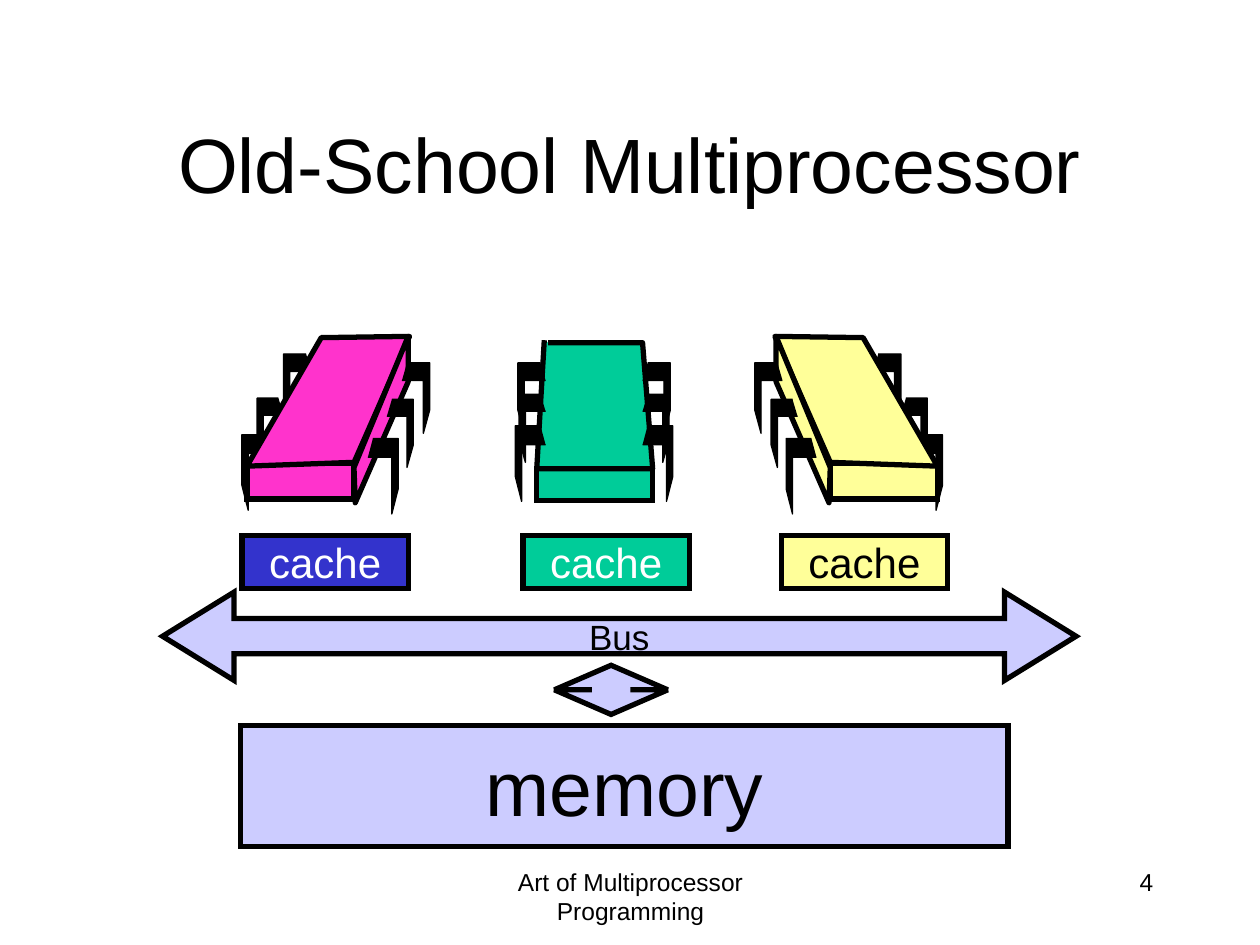
from lxml.etree import SubElement
from pptx import Presentation
from pptx.dml.color import RGBColor
from pptx.enum.shapes import MSO_SHAPE
from pptx.enum.text import MSO_ANCHOR, PP_ALIGN
from pptx.oxml.ns import qn
from pptx.util import Inches, Pt

BLACK, WHITE = "000000", "FFFFFF"
LILAC, BLUE, GREEN, PINK, YELLOW = "CCCCFF", "3333CC", "00CC99", "FF33CC", "FFFF99"
BIG, MEDIUM, SMALL = (0.24, 0.6), (0.22, 0.56), (0.21, 0.54)


def rgb(value):
    """Return the colour of a hex string."""
    return RGBColor.from_string(value)


def paint(sp, fill, width=3):
    """Give a shape a flat fill and a black outline."""
    sp.shadow.inherit = False
    sp.fill.solid()
    sp.fill.fore_color.rgb = rgb(fill)
    sp.line.color.rgb = rgb(BLACK)
    sp.line.width = Pt(width)


def write(tf, text, size, color=BLACK, align=PP_ALIGN.CENTER):
    """Put one formatted paragraph into a text frame."""
    tf.text = text
    p = tf.paragraphs[0]
    p.alignment = align
    p.font.name = "Arial"
    p.font.size = Pt(size)
    p.font.color.rgb = rgb(color)


def add_preset(shapes, kind, box, fill, adjustments=()):
    """Add a preset shape with sharp corners."""
    sp = shapes.add_shape(kind, *map(Inches, box))
    for i, value in enumerate(adjustments):
        sp.adjustments[i] = value
    paint(sp, fill)
    SubElement(sp._element.spPr.find(qn("a:ln")), qn("a:miter"), lim="800000")
    return sp


def add_label(sp, text, size, color=BLACK):
    """Write a centred label on a shape."""
    tf = sp.text_frame
    tf.word_wrap = False
    tf.vertical_anchor = MSO_ANCHOR.MIDDLE
    write(tf, text, size, color)


def add_text(s, box, text, align):
    """Add a small text box for the foot of the slide."""
    tf = s.shapes.add_textbox(*map(Inches, box)).text_frame
    tf.word_wrap = True
    write(tf, text, 14, align=align)


def add_outline(shapes, points, fill, width=3, close=True):
    """Add a freeform through points given in inches."""
    start, *rest = [(Inches(x), Inches(y)) for x, y in points]
    builder = shapes.build_freeform(*start, scale=1.0)
    builder.add_line_segments(rest, close=close)
    paint(builder.convert_to_shape(), fill, width)


def add_pin(shapes, x, y, size, side):
    """Add a bent pin growing from x to the right (1) or left (-1)."""
    w, h = size
    offsets = [(0.04, 0), (w, 0), (w, 0.67 * h), (w - 0.05, h),
               (w - 0.05, 0.25 * h), (0, 0.25 * h)]
    points = [(x + side * dx, y + dy) for dx, dy in offsets]
    add_outline(shapes, points, BLACK, 0.75, close=False)


def add_front_chip(s):
    """Add the processor that is seen from the front."""
    shapes = s.shapes.add_group_shape().shapes
    add_preset(shapes, MSO_SHAPE.RECTANGLE, (4.26, 3.72, 0.92, 0.25), GREEN)
    top = [(4.35, 2.72), (5.1, 2.72), (5.18, 3.72), (4.26, 3.72), (4.32, 2.7)]
    add_outline(shapes, top, GREEN, close=False)
    for x, side in ((5.1, 1), (4.33, -1)):
        for y, size in ((3.38, BIG), (3.13, SMALL), (2.88, MEDIUM)):
            add_pin(shapes, x, y, size, side)


def add_slanted_chip(s, fill, mirrored=False):
    """Add a processor leaning right, or its mirror image leaning left."""
    shapes = s.shapes.add_group_shape().shapes
    side = -1 if mirrored else 1

    def place(x):
        return 9.4 - x if mirrored else x

    left = min(place(1.96), place(2.81))
    add_preset(shapes, MSO_SHAPE.RECTANGLE, (left, 3.68, 0.85, 0.28), fill)
    for x, y, size in ((2.16, 3.45, BIG), (2.25, 3.16, SMALL), (2.47, 2.81, MEDIUM)):
        add_pin(shapes, place(x), y, size, -side)
    top = [(1.96, 3.7), (2.81, 3.67), (3.25, 2.67), (2.55, 2.68)]
    flank = [(3.24, 2.67), (3.24, 3.03), (2.82, 3.99), (2.81, 3.71)]
    for face in (top, flank):
        add_outline(shapes, [(place(x), y) for x, y in face], fill)
    for x, y, size in ((2.92, 3.48, BIG), (3.07, 3.17, SMALL), (3.19, 2.88, MEDIUM)):
        add_pin(shapes, place(x), y, size, side)


def add_title(s, text):
    """Place and fill the title."""
    title = s.shapes.title
    title.left, title.top, title.width, title.height = map(Inches, (0.75, 0.67, 8.5, 1.25))
    title.text_frame.vertical_anchor = MSO_ANCHOR.MIDDLE
    write(title.text_frame, text, 44)


def main():
    """Build the slide."""
    prs = Presentation()
    prs.slide_width, prs.slide_height = Inches(10), Inches(7.5)
    s = prs.slides.add_slide(prs.slide_layouts[5])
    add_title(s, "Old-School Multiprocessor")
    add_text(s, (3.42, 6.83, 3.17, 0.5), "Art of Multiprocessor Programming", PP_ALIGN.CENTER)
    add_text(s, (7.17, 6.83, 2.08, 0.5), "4", PP_ALIGN.RIGHT)

    add_front_chip(s)
    add_slanted_chip(s, PINK)
    add_slanted_chip(s, YELLOW, mirrored=True)

    for x, fill, color in ((1.92, BLUE, WHITE), (4.15, GREEN, WHITE), (6.2, YELLOW, BLACK)):
        cache = add_preset(s.shapes, MSO_SHAPE.RECTANGLE, (x, 4.25, 1.32, 0.42), fill)
        add_label(cache, "cache", 24, color)

    bus = add_preset(s.shapes, MSO_SHAPE.LEFT_RIGHT_ARROW, (1.29, 4.7, 7.25, 0.7),
                     LILAC, (0.4, 0.81))
    add_label(bus, "Bus", 20)
    memory = add_preset(s.shapes, MSO_SHAPE.RECTANGLE, (1.91, 5.76, 6.09, 0.96), LILAC)
    add_label(memory, "memory", 44)
    add_preset(s.shapes, MSO_SHAPE.UP_DOWN_ARROW, (4.4, 5.28, 0.9, 0.39), LILAC, (0.5, 0.34))
    prs.save("out.pptx")


if __name__ == "__main__":
    main()
